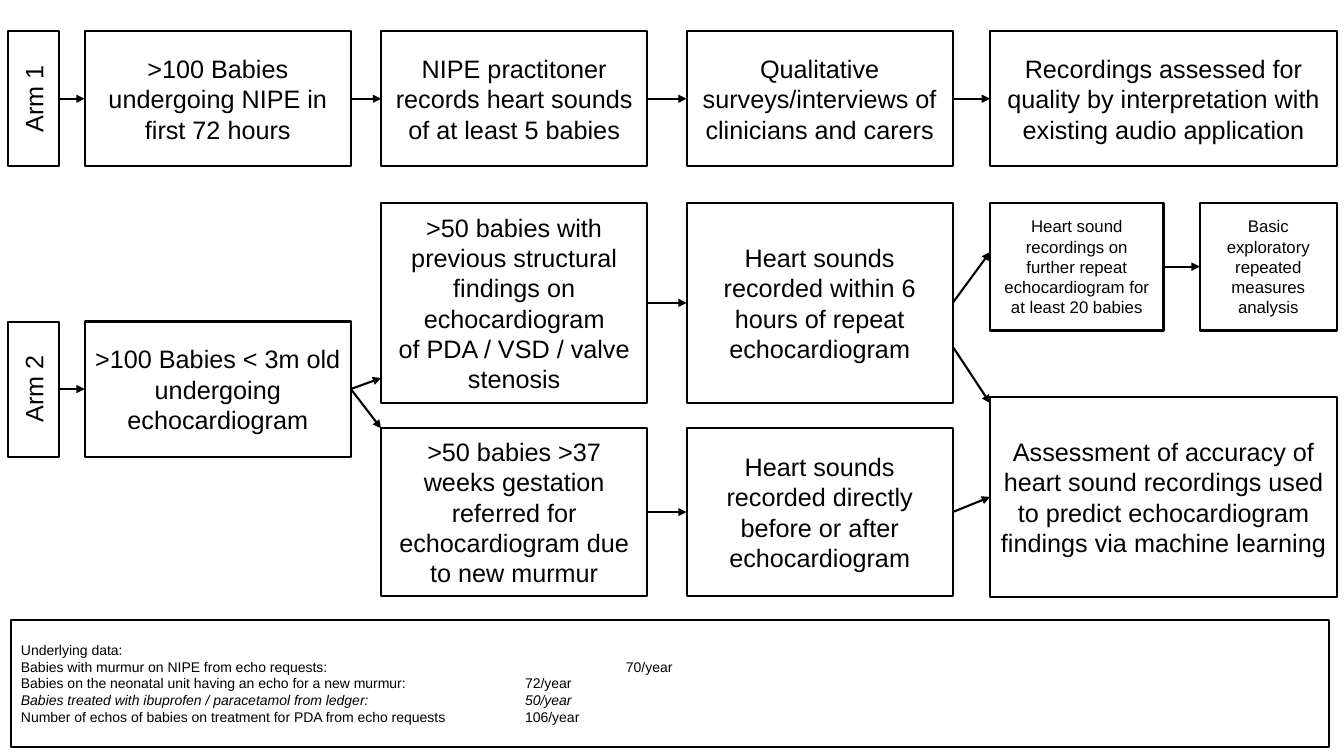
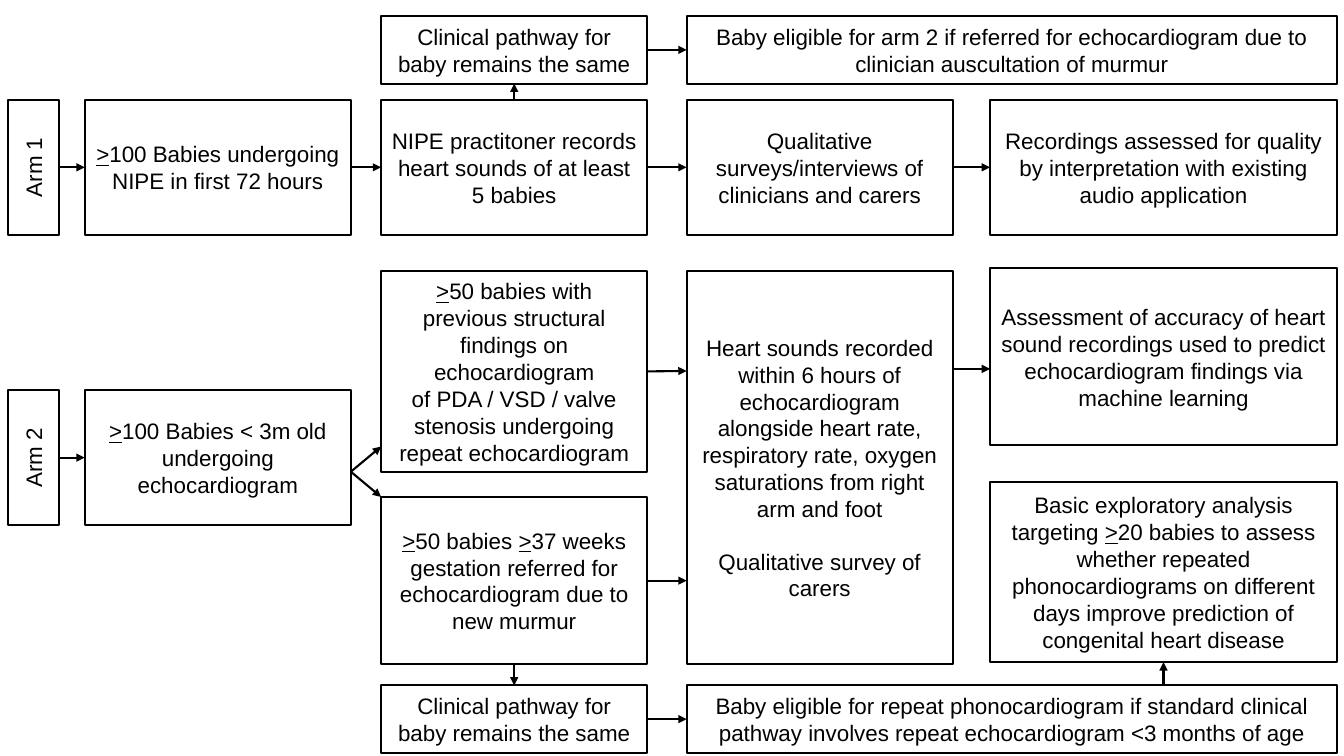
"""Build two study flow charts on one shared grid of columns and rows."""
from lxml import etree
from pptx import Presentation
from pptx.dml.color import RGBColor
from pptx.enum.shapes import MSO_CONNECTOR, MSO_SHAPE
from pptx.enum.text import MSO_ANCHOR, PP_ALIGN
from pptx.oxml.ns import qn
from pptx.util import Inches, Pt

BLACK = RGBColor(0x00, 0x00, 0x00)
WHITE = RGBColor(0xFF, 0xFF, 0xFF)
FONT = "Arial"
LINE_WIDTH = Pt(1.5)
RECTANGLE = MSO_SHAPE.RECTANGLE
STRAIGHT = MSO_CONNECTOR.STRAIGHT
MIDDLE = MSO_ANCHOR.MIDDLE
CENTER, LEFT = PP_ALIGN.CENTER, PP_ALIGN.LEFT
TOP_SIDE, LEFT_SIDE, BOTTOM_SIDE, RIGHT_SIDE = range(4)

COLUMN_LEFTS = (0.84, 3.78, 6.81, 9.82, 11.9)
COLUMN_RIGHTS = (3.48, 6.42, 9.45, 11.54, 13.26)
ARM_CENTER, ARM_THICKNESS = 0.33, 0.51

ROWS = {
    "above": (-0.52, 0.67),
    "arm 1": (0.31, 1.34),
    "upper": (2.01, 1.99),
    "upper short": (2.01, 1.27),
    "upper result": (1.98, 1.76),
    "both": (2.01, 3.9),
    "arm 2": (3.19, 1.34),
    "lower": (4.25, 1.66),
    "lower result": (3.94, 1.98),
    "lower analysis": (4.1, 1.79),
    "below": (6.12, 0.67),
}

PATHWAY = "Clinical pathway for baby remains the same"
PRACTITIONER = "NIPE practitoner records heart sounds of at least 5 babies"
SURVEYS = "Qualitative surveys/interviews of clinicians and carers"
QUALITY = "Recordings assessed for quality by interpretation with existing audio application"
ACCURACY = ("Assessment of accuracy of heart sound recordings used to predict "
            "echocardiogram findings via machine learning")

CHARTS = [
    {
        "shift": 0,
        "size": 18,
        "boxes": [
            ("newborns", "arm 1", 0, 0, ">100 Babies undergoing NIPE in first 72 hours"),
            ("practitioner", "arm 1", 1, 1, PRACTITIONER),
            ("surveys", "arm 1", 2, 2, SURVEYS),
            ("quality", "arm 1", 3, 4, QUALITY),
            ("infants", "arm 2", 0, 0, ">100 Babies < 3m old undergoing echocardiogram"),
            ("structural", "upper", 1, 1,
             ">50 babies with previous structural findings on echocardiogram\n"
             "of PDA / VSD / valve stenosis"),
            ("murmur", "lower", 1, 1,
             ">50 babies >37 weeks gestation referred for echocardiogram due to new murmur"),
            ("repeat sounds", "upper", 2, 2,
             "Heart sounds recorded within 6 hours of repeat echocardiogram"),
            ("direct sounds", "lower", 2, 2,
             "Heart sounds recorded directly before or after echocardiogram"),
            ("accuracy", "lower result", 3, 4, ACCURACY),
            ("further repeat", "upper short", 3, 3,
             "Heart sound recordings on further repeat echocardiogram for at least 20 babies"),
            ("analysis", "upper short", 4, 4, "Basic exploratory repeated measures analysis"),
        ],
        "arrows": [
            (("infants", RIGHT_SIDE), (3.78, 3.75)),
            (("infants", RIGHT_SIDE), (3.78, 4.25)),
            (("structural", RIGHT_SIDE), ("repeat sounds", LEFT_SIDE)),
            (("murmur", RIGHT_SIDE), ("direct sounds", LEFT_SIDE)),
            (("repeat sounds", RIGHT_SIDE), (9.82, 2.5)),
            ((9.45, 3.44), (9.82, 4)),
            (("direct sounds", RIGHT_SIDE), ("accuracy", LEFT_SIDE)),
            (("further repeat", RIGHT_SIDE), ("analysis", LEFT_SIDE)),
        ],
    },
    {
        "shift": 0.68,
        "size": 16,
        "boxes": [
            ("newborns", "arm 1", 0, 0, "_>_100 Babies undergoing NIPE in first 72 hours"),
            ("practitioner", "arm 1", 1, 1, PRACTITIONER),
            ("surveys", "arm 1", 2, 2, SURVEYS),
            ("quality", "arm 1", 3, 4, QUALITY),
            ("infants", "arm 2", 0, 0, "_>_100 Babies < 3m old undergoing echocardiogram"),
            ("structural", "upper", 1, 1,
             "_>_50 babies with previous structural findings on echocardiogram\n"
             "of PDA / VSD / valve stenosis undergoing repeat echocardiogram"),
            ("murmur", "lower", 1, 1,
             "_>_50 babies _>_37 weeks gestation referred for echocardiogram due to new murmur"),
            ("sounds", "both", 2, 2,
             "Heart sounds recorded within 6 hours of echocardiogram alongside heart rate, "
             "respiratory rate, oxygen saturations from right arm and foot\n"
             "Qualitative survey of carers"),
            ("accuracy", "upper result", 3, 4, ACCURACY),
            ("analysis", "lower analysis", 3, 4,
             "Basic exploratory analysis targeting _>_20 babies to assess whether repeated "
             "phonocardiograms on different days improve prediction of congenital heart disease"),
            ("screening pathway", "above", 1, 1, PATHWAY),
            ("arm 2 eligible", "above", 2, 4,
             "Baby eligible for arm 2 if referred for echocardiogram due to clinician "
             "auscultation of murmur"),
            ("murmur pathway", "below", 1, 1, PATHWAY),
            ("repeat eligible", "below", 2, 4,
             "Baby eligible for repeat phonocardiogram if standard clinical pathway involves "
             "repeat echocardiogram <3 months of age"),
        ],
        "arrows": [
            ((3.48, 4.68), (3.78, 4.43)),
            ((3.48, 4.68), (3.78, 4.93)),
            (("structural", RIGHT_SIDE), (6.81, 3.68)),
            (("murmur", RIGHT_SIDE), (6.81, 5.76)),
            ((9.45, 3.66), (9.82, 3.66)),
            (("practitioner", TOP_SIDE), ("screening pathway", BOTTOM_SIDE)),
            (("screening pathway", RIGHT_SIDE), ("arm 2 eligible", LEFT_SIDE)),
            (("murmur", BOTTOM_SIDE), ("murmur pathway", TOP_SIDE)),
            (("murmur pathway", RIGHT_SIDE), ("repeat eligible", LEFT_SIDE)),
            ((11.54, 6.8), ("analysis", BOTTOM_SIDE)),
        ],
    },
]

SHARED_ARROWS = [
    (("newborns", RIGHT_SIDE), ("practitioner", LEFT_SIDE)),
    (("practitioner", RIGHT_SIDE), ("surveys", LEFT_SIDE)),
    (("surveys", RIGHT_SIDE), ("quality", LEFT_SIDE)),
]

UNDERLYING_DATA = [
    ("Underlying data:", None),
    ("Babies with murmur on NIPE from echo requests:\t70/year", 6),
    ("Babies on the neonatal unit having an echo for a new murmur:\t72/year", 5),
    ("Babies treated with ibuprofen / paracetamol from ledger:\t50/year", 5),
    ("Number of echos of babies on treatment for PDA from echo requests\t106/year", 5),
]
ITALIC_LINE = 3


def add_box(slide, left, top, width, height, text, size, alignment=CENTER):
    shape = slide.shapes.add_shape(
        RECTANGLE, Inches(left), Inches(top), Inches(width), Inches(height))
    shape.shadow.inherit = False
    shape.fill.solid()
    shape.fill.fore_color.rgb = WHITE
    shape.line.color.rgb = BLACK
    shape.line.width = LINE_WIDTH
    text_frame = shape.text_frame
    text_frame.word_wrap = True
    text_frame.vertical_anchor = MIDDLE
    for index, line in enumerate(text.split("\n")):
        paragraph = text_frame.add_paragraph() if index else text_frame.paragraphs[0]
        paragraph.alignment = alignment
        for position, piece in enumerate(line.split("_")):
            if piece:
                run = paragraph.add_run()
                run.text = piece
                run.font.name = FONT
                run.font.size = Pt(size)
                run.font.color.rgb = BLACK
                if position % 2:
                    run.font.underline = True
    return shape


def add_arrow(slide, boxes, start, end):
    points = [(0, 0) if point[0] in boxes else point for point in (start, end)]
    (start_x, start_y), (end_x, end_y) = points
    connector = slide.shapes.add_connector(
        STRAIGHT, Inches(start_x), Inches(start_y), Inches(end_x), Inches(end_y))
    if start[0] in boxes:
        connector.begin_connect(boxes[start[0]], start[1])
    if end[0] in boxes:
        connector.end_connect(boxes[end[0]], end[1])
    connector.line.color.rgb = BLACK
    connector.line.width = LINE_WIDTH
    properties = connector._element.spPr
    etree.SubElement(properties.find(qn("a:ln")), qn("a:tailEnd"), type="triangle")
    etree.SubElement(properties, qn("a:effectLst"))
    return connector


presentation = Presentation()
presentation.slide_width = Inches(13.33)
presentation.slide_height = Inches(7.5)
blank_layout = presentation.slide_layouts[6]
slides = []
chart_boxes = []

for chart in CHARTS:
    slide = presentation.slides.add_slide(blank_layout)
    boxes = {}
    for name, row, first, last, text in chart["boxes"]:
        top, height = ROWS[row]
        left = COLUMN_LEFTS[first]
        size = 12 if row == "upper short" else chart["size"]
        boxes[name] = add_box(slide, left, top + chart["shift"],
                              COLUMN_RIGHTS[last] - left, height, text, size)
    for start, end in SHARED_ARROWS + chart["arrows"]:
        add_arrow(slide, boxes, start, end)

    for label, row, target in (("Arm 1", "arm 1", "newborns"), ("Arm 2", "arm 2", "infants")):
        top, length = ROWS[row]
        middle = top + chart["shift"] + length / 2
        boxes[label] = add_box(slide, ARM_CENTER - length / 2, middle - ARM_THICKNESS / 2,
                               length, ARM_THICKNESS, label, chart["size"])
        boxes[label].rotation = 270
        connector = add_arrow(slide, boxes, (label, BOTTOM_SIDE), (target, LEFT_SIDE))
        connector.begin_x = Inches(ARM_CENTER + ARM_THICKNESS / 2)
        connector.begin_y = connector.end_y
    slides.append(slide)
    chart_boxes.append(boxes)

data_text = "\n".join(line for line, stop in UNDERLYING_DATA)
data_box = add_box(slides[0], 0.11, 6.15, 13.07, 1.26, data_text, 10, LEFT)
data_paragraphs = data_box.text_frame.paragraphs
for paragraph, (line, stop) in zip(data_paragraphs, UNDERLYING_DATA):
    if stop:
        tabs = etree.SubElement(paragraph._p.get_or_add_pPr(), qn("a:tabLst"))
        etree.SubElement(tabs, qn("a:tab"), pos=str(Inches(stop)), algn="l")
for run in data_paragraphs[ITALIC_LINE].runs:
    run.font.italic = True

for boxes in chart_boxes:
    if "sounds" in boxes:
        boxes["sounds"].text_frame.paragraphs[1].space_before = Pt(18.4)

presentation.save("out.pptx")
